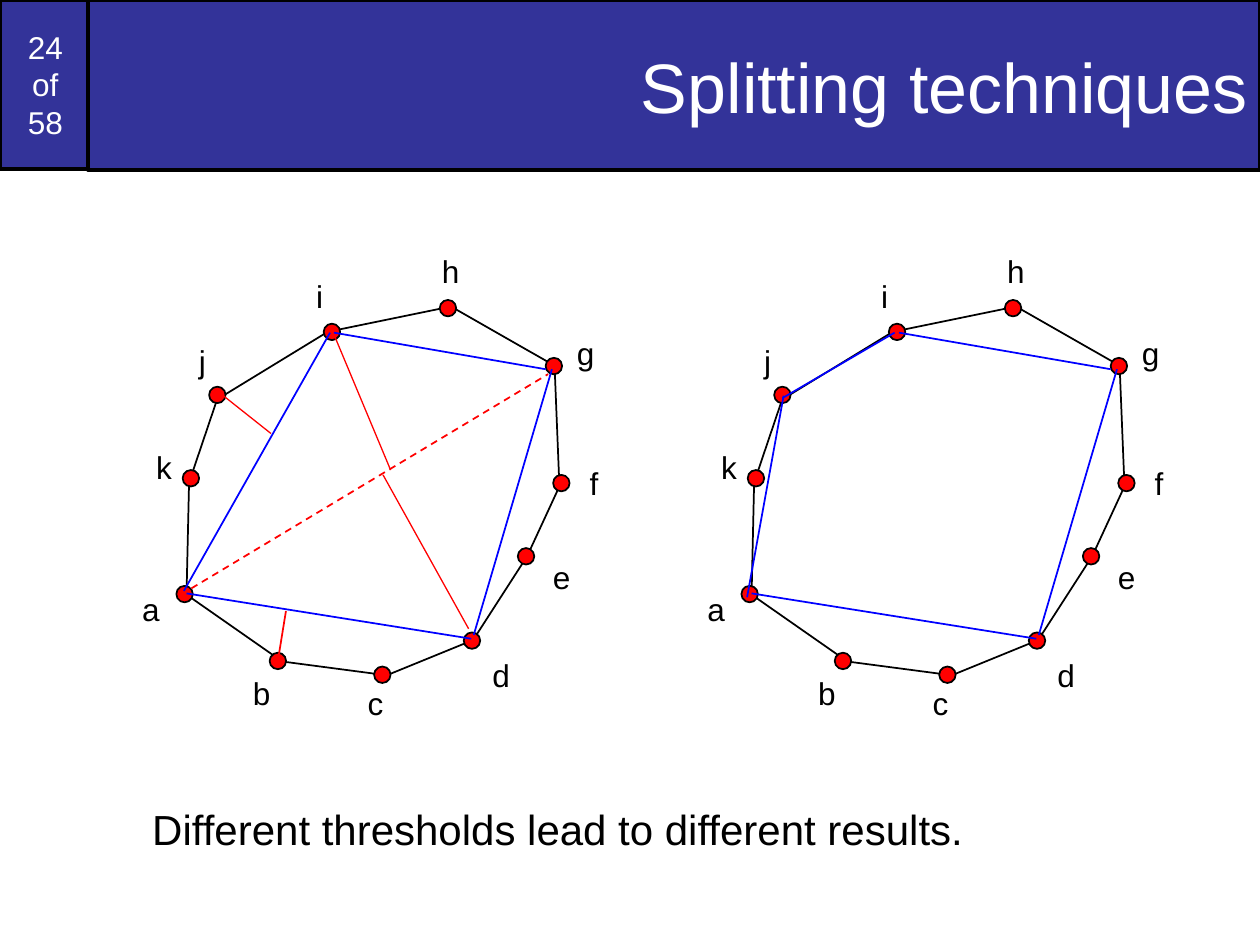
"""Build the slide comparing two polygon splittings of the same outline."""
from dataclasses import dataclass

from lxml import etree
from pptx import Presentation
from pptx.dml.color import RGBColor
from pptx.enum.dml import MSO_LINE
from pptx.enum.shapes import MSO_CONNECTOR, MSO_SHAPE
from pptx.enum.text import MSO_ANCHOR, MSO_AUTO_SIZE, PP_ALIGN
from pptx.oxml.ns import qn
from pptx.shapes.autoshape import Shape
from pptx.shapes.shapetree import GroupShapes, SlideShapes
from pptx.slide import Slide
from pptx.util import Pt

STRAIGHT = MSO_CONNECTOR.STRAIGHT
RECTANGLE, OVAL = MSO_SHAPE.RECTANGLE, MSO_SHAPE.OVAL
DASH = MSO_LINE.DASH
MIDDLE = MSO_ANCHOR.MIDDLE
NO_FIT, GROW = MSO_AUTO_SIZE.NONE, MSO_AUTO_SIZE.SHAPE_TO_FIT_TEXT
LEFT, CENTER, RIGHT = PP_ALIGN.LEFT, PP_ALIGN.CENTER, PP_ALIGN.RIGHT
TITLE_ONLY_LAYOUT = 5


@dataclass(frozen=True)
class Theme:
    """Colours, type sizes and line widths of the slide."""
    font: str = "Arial"
    banner: RGBColor = RGBColor(0x33, 0x33, 0x99)
    ink: RGBColor = RGBColor(0, 0, 0)
    paper: RGBColor = RGBColor(255, 255, 255)
    red: RGBColor = RGBColor(255, 0, 0)
    blue: RGBColor = RGBColor(0, 0, 255)
    title_size: float = 40
    caption_size: float = 24
    label_size: float = 18
    border: float = 2
    stroke: float = 1
    hairline: float = 0.75


THEME = Theme()


@dataclass(frozen=True)
class Vertex:
    """A named outline point: corner of its dot, and box of its label."""
    name: str
    dot: tuple[float, float]
    label: tuple[float, float]
    label_width: float = 24.5


@dataclass(frozen=True)
class Segment:
    """A straight line in the coordinates of the left diagram."""
    start: tuple[float, float]
    end: tuple[float, float]
    color: RGBColor = THEME.ink
    width: float = THEME.stroke
    dashed: bool = False


DOT_SIZE = 9.4
LABEL_HEIGHT = 28.8
RIGHT_DIAGRAM_SHIFT = 322.9

VERTICES = [
    Vertex("a", (100.8, 334.8), (74.2, 333.4)),
    Vertex("b", (154.1, 373), (137.5, 381.6)),
    Vertex("c", (213.8, 380.9), (203, 387.4), 23),
    Vertex("d", (265, 361.4), (274.3, 371.5)),
    Vertex("e", (295.9, 313.2), (308.9, 315.4)),
    Vertex("f", (316.1, 271.4), (329.8, 261.4), 19.4),
    Vertex("g", (311.8, 204.5), (322.6, 187.2)),
    Vertex("h", (251.3, 171.4), (245.5, 140.4)),
    Vertex("i", (185, 185), (173.5, 154.8), 18),
    Vertex("j", (119.5, 221), (106.6, 192.2), 18),
    Vertex("k", (104.4, 268.6), (82.1, 252.7), 23),
]
OUTLINE = [
    Segment((106.6, 339.8), (161.3, 378)),
    Segment((161.3, 378), (221, 385.9)),
    Segment((221, 385.9), (272.2, 365)),
    Segment((272.2, 362.9), (301, 318.2)),
    Segment((301.7, 316.8), (319.7, 277.9)),
    Segment((319.7, 278.6), (316.8, 206.6)),
    Segment((315.4, 208.1), (259.9, 176.4)),
    Segment((258.5, 175), (185, 190.1)),
    Segment((186.5, 190.1), (125.3, 227.5)),
    Segment((125.3, 224.6), (108, 275.8)),
    Segment((108, 277.2), (106.6, 339.8)),
]
DISTANCES = [
    Segment((159.1, 375.8), (163.4, 349.2), THEME.red),
    Segment((267.8, 359.3), (218.9, 271.4), THEME.red, THEME.hairline),
    Segment((223.2, 268.6), (190.1, 189.4), THEME.red, THEME.hairline),
    Segment((154.8, 247.7), (126.7, 225.4), THEME.red, THEME.hairline),
    Segment((109.4, 336.2), (313.2, 213.8), THEME.red, dashed=True),
]
SHARED_CHORDS = [
    Segment((270.7, 362.9), (315.4, 211), THEME.blue),
    Segment((311.8, 211), (190.8, 190.1), THEME.blue),
    Segment((106.6, 339.1), (269.3, 365), THEME.blue),
]
COARSE_CHORDS = [Segment((188.6, 190.1), (105.1, 337.7), THEME.blue)]
FINE_CHORDS = [
    Segment((188.3, 190.1), (124.2, 227.5), THEME.blue),
    Segment((124.9, 226.1), (104, 341.3), THEME.blue),
]

Canvas = SlideShapes | GroupShapes


def write(holder: Shape, wording: str, size: float, color: RGBColor, align: PP_ALIGN) -> None:
    """Put one formatted paragraph into a shape."""
    holder.text_frame.text = wording
    paragraph = holder.text_frame.paragraphs[0]
    paragraph.alignment = align
    paragraph.font.name = THEME.font
    paragraph.font.size = Pt(size)
    paragraph.font.color.rgb = color


def paint(shape: Shape, fill: RGBColor, width: float) -> None:
    """Give a shape a solid fill and a black border."""
    shape.fill.solid()
    shape.fill.fore_color.rgb = fill
    shape.line.color.rgb = THEME.ink
    shape.line.width = Pt(width)


def add_text(canvas: Canvas, wording: str, left: float, top: float,
             width: float, height: float, size: float) -> None:
    """Add an unwrapped text box."""
    box = canvas.add_textbox(Pt(left), Pt(top), Pt(width), Pt(height))
    box.text_frame.word_wrap = False
    box.text_frame.auto_size = GROW
    write(box, wording, size, THEME.ink, LEFT)


def add_segment(canvas: Canvas, segment: Segment, shift: float) -> None:
    """Draw a segment moved right by the shift."""
    (x1, y1), (x2, y2) = segment.start, segment.end
    connector = canvas.add_connector(STRAIGHT, Pt(x1 + shift), Pt(y1), Pt(x2 + shift), Pt(y2))
    connector.line.color.rgb = segment.color
    connector.line.width = Pt(segment.width)
    if segment.dashed:
        connector.line.dash_style = DASH
    etree.SubElement(connector.element.spPr, qn("a:effectLst"))


def add_diagram(canvas: Canvas, splits: list[Segment], shift: float = 0) -> None:
    """Draw the outline, its dots and labels, and the splitting lines."""
    for edge in OUTLINE:
        add_segment(canvas, edge, shift)
    for vertex in VERTICES:
        x, y = vertex.dot
        dot = canvas.add_shape(OVAL, Pt(x + shift), Pt(y), Pt(DOT_SIZE), Pt(DOT_SIZE))
        dot.shadow.inherit = False
        paint(dot, THEME.red, THEME.stroke)
    for vertex in VERTICES:
        x, y = vertex.label
        add_text(canvas, vertex.name, x + shift, y, vertex.label_width,
                 LABEL_HEIGHT, THEME.label_size)
    for split in splits:
        add_segment(canvas, split, shift)


def add_banner(slide: Slide) -> None:
    """Fill the top band with the page counter and the title."""
    counter = slide.shapes.add_shape(RECTANGLE, 0, 0, Pt(51.8), Pt(96.5))
    counter.shadow.inherit = False
    write(counter, "24\vof\v58", THEME.label_size, THEME.paper, CENTER)
    title = slide.shapes.title
    title.left, title.top, title.width, title.height = Pt(50.4), 0, Pt(669.6), Pt(97.2)
    write(title, "Splitting techniques", THEME.title_size, THEME.paper, RIGHT)
    for panel in (counter, title):
        paint(panel, THEME.banner, THEME.border)
        panel.text_frame.vertical_anchor = MIDDLE
        panel.text_frame.auto_size = NO_FIT
    counter.element.addnext(title.element)


def main() -> None:
    """Assemble and save the slide."""
    deck = Presentation()
    deck.slide_width, deck.slide_height = Pt(720), Pt(540)
    slide = deck.slides.add_slide(deck.slide_layouts[TITLE_ONLY_LAYOUT])
    add_banner(slide)
    add_diagram(slide.shapes, DISTANCES + SHARED_CHORDS + COARSE_CHORDS)
    fine_diagram = slide.shapes.add_group_shape()
    add_diagram(fine_diagram.shapes, SHARED_CHORDS + FINE_CHORDS, RIGHT_DIAGRAM_SHIFT)
    add_text(slide.shapes, "Different thresholds lead to different results.",
             79.9, 455.8, 478.8, 36, THEME.caption_size)
    deck.save("out.pptx")


if __name__ == "__main__":
    main()
